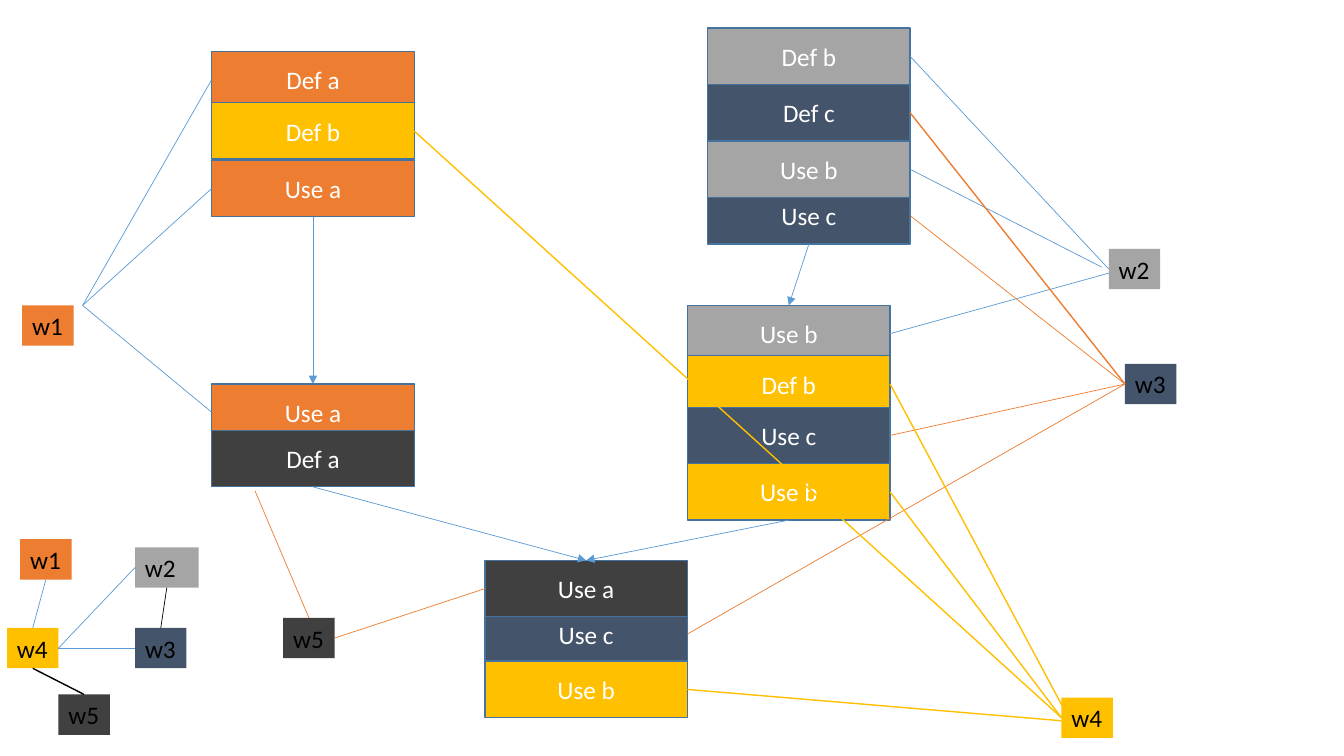
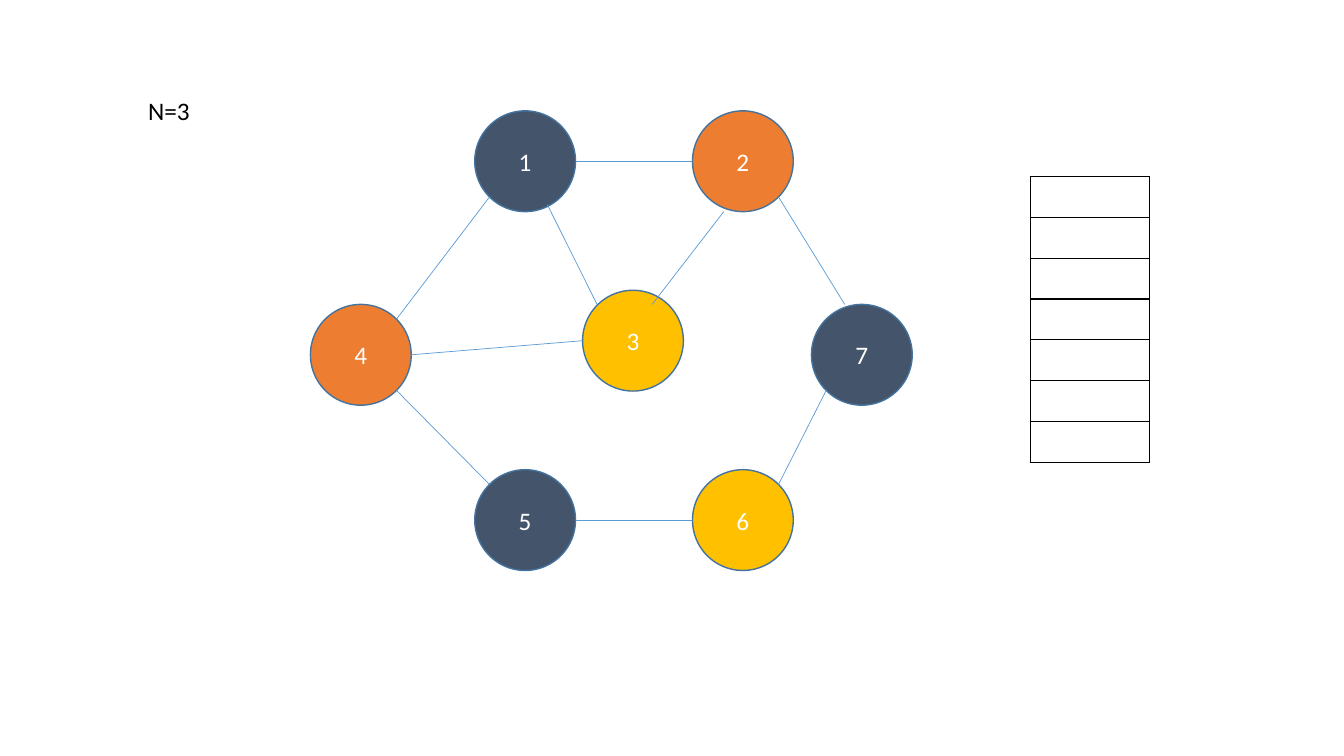
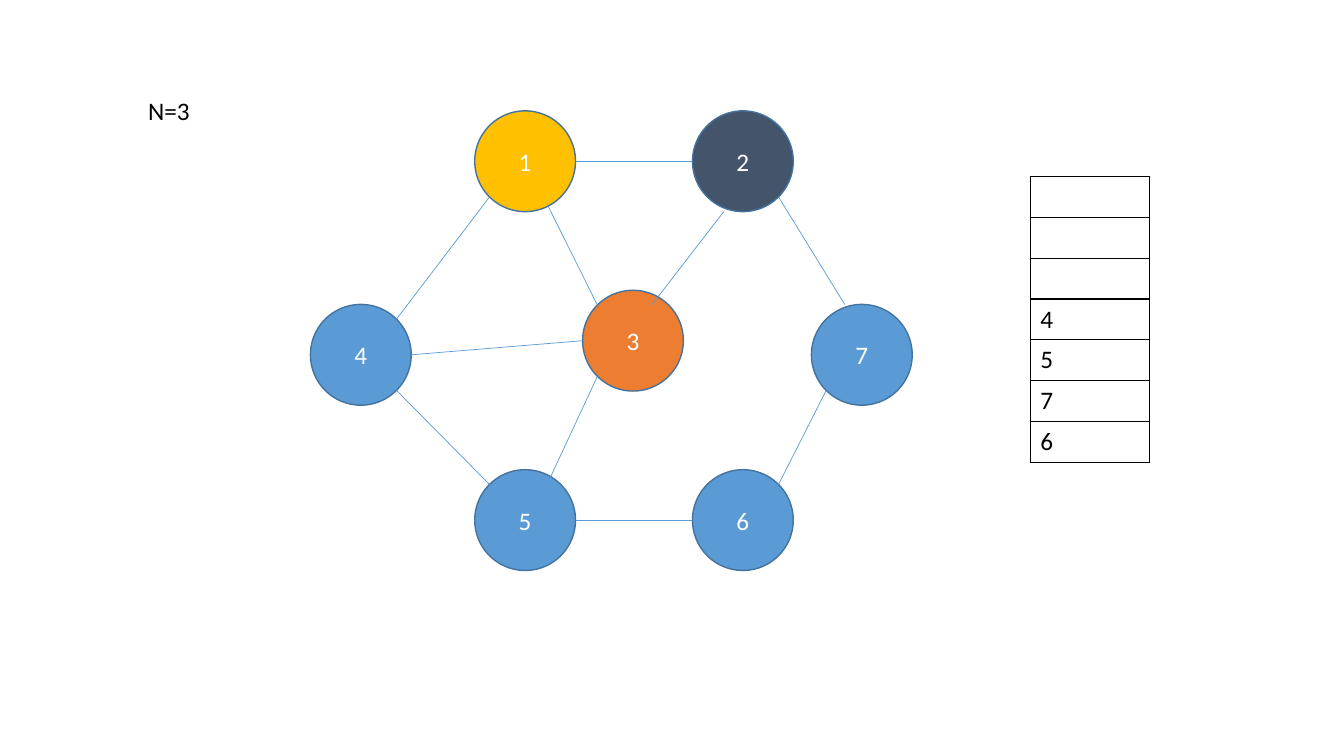
import math

from lxml import etree
from pptx import Presentation
from pptx import util as u
from pptx.dml.color import RGBColor
from pptx.enum import shapes, text
from pptx.oxml.ns import qn

CELL = u.Inches(0.1)
ORANGE, GOLD, GRAY, SLATE, DARK = "ED7D31", "FFC000", "A5A5A5", "44546A", "404040"
BLUE, OUTLINE, BLACK, WHITE = "5B9BD5", "43739E", "000000", "FFFFFF"
TOP, LEFT, BOTTOM, RIGHT = range(4)
FONT = {"name": "Calibri", "size": u.Pt(18)}
CENTERED = {"vertical_anchor": text.MSO_ANCHOR.MIDDLE, "word_wrap": True}
FITTED = {"vertical_anchor": text.MSO_ANCHOR.TOP, "word_wrap": False,
          "auto_size": text.MSO_AUTO_SIZE.SHAPE_TO_FIT_TEXT}


def rgb(value):
    return RGBColor.from_string(value)


def cells(*counts):
    return [round(count * CELL) for count in counts]


def apply(target, values):
    for key, value in values.items():
        setattr(target, key, value)


class Deck:
    """Draws flow and graph elements on a grid of tenth-inch cells."""

    def __init__(self):
        self.file = Presentation()
        width, height = cells(133.33, 75)
        apply(self.file, {"slide_width": width, "slide_height": height})

    def page(self):
        self.slide = self.file.slides.add_slide(self.file.slide_layouts[6])

    def caption(self, frame, words, color, align=text.PP_ALIGN.LEFT):
        paragraph = frame.paragraphs[0]
        paragraph.alignment = align
        run = paragraph.add_run()
        run.text = words
        apply(run.font, FONT)
        run.font.color.rgb = rgb(color)

    def filled(self, kind, area, fill):
        item = self.slide.shapes.add_shape(kind, *cells(*area))
        item.shadow.inherit = False
        item.fill.solid()
        item.fill.fore_color.rgb = rgb(fill)
        return item

    def block(self, area, words, fill, kind=shapes.MSO_SHAPE.RECTANGLE):
        item = self.filled(kind, area, fill)
        item.line.color.rgb = rgb(OUTLINE)
        item.line.width = u.Pt(1)
        apply(item.text_frame, CENTERED)
        self.caption(item.text_frame, words, WHITE, text.PP_ALIGN.CENTER)
        return item

    def stack(self, column, steps):
        return [self.block((column, row, 20.1, 5.6), words, fill)
                for row, words, fill in steps]

    def tag(self, column, row, words, fill, width=5.1):
        item = self.filled(shapes.MSO_SHAPE.RECTANGLE, (column, row, width, 4), fill)
        item.line.fill.background()
        apply(item.text_frame, {**FITTED, "word_wrap": width > 5.1})
        self.caption(item.text_frame, words, BLACK)
        return item

    def label(self, column, row, words):
        item = self.slide.shapes.add_textbox(*cells(column, row, 6.2, 4))
        apply(item.text_frame, FITTED)
        self.caption(item.text_frame, words, BLACK)

    def link(self, start, end, color=BLUE, width=0.5, arrow=False):
        free = [(0, 0) if hasattr(first, "fill") else (first, second)
                for first, second in (start, end)]
        line = self.slide.shapes.add_connector(
            shapes.MSO_CONNECTOR.STRAIGHT, *cells(*free[0], *free[1]))
        for place, attach in ((start, line.begin_connect), (end, line.end_connect)):
            if hasattr(place[0], "fill"):
                attach(*place)
        line.line.color.rgb = rgb(color)
        line.line.width = u.Pt(width)
        properties = line.element.spPr
        if arrow:
            etree.SubElement(properties.find(qn("a:ln")), qn("a:tailEnd"), type="triangle")
        etree.SubElement(properties, qn("a:effectLst"))

    def register(self, values):
        frame = self.slide.shapes.add_table(len(values), 1, *cells(102.2, 17.5, 11.8, 28.4))
        table = frame.table
        apply(table, {"first_row": False, "horz_banding": False})
        for index, value in enumerate(values):
            cell = table.cell(index, 0)
            cell.fill.background()
            if value:
                self.caption(cell.text_frame, value, BLACK)
            properties = cell._tc.get_or_add_tcPr()
            for order, side in enumerate(("lnL", "lnR", "lnT", "lnB")):
                border = etree.Element(qn("a:" + side), w=str(u.Pt(1)))
                solid = etree.SubElement(border, qn("a:solidFill"))
                etree.SubElement(solid, qn("a:srgbClr"), val=BLACK)
                properties.insert(order, border)


CENTERS = {"1": (52.1, 16), "2": (73.7, 16), "3": (62.8, 33.8), "4": (35.8, 35.2),
           "5": (52.1, 51.6), "6": (73.7, 51.6), "7": (85.5, 35.2)}
E, SE, SW, W, NW, NE = 0, 45, 135, 180, 225, 315


def rim(node, angle):
    x, y = CENTERS[node]
    turn = math.radians(angle)
    return x + 5 * math.cos(turn), y + 5 * math.sin(turn)


EDGES = [
    (rim("1", SW), rim("4", NE)),
    (rim("1", E), rim("2", W)),
    (rim("2", SE), (83.8, 30.2)),
    (rim("4", SE), rim("5", NW)),
    (rim("5", E), rim("6", W)),
    (rim("6", NE), rim("7", SW)),
    ((54.3, 20.3), rim("3", NW)),
    ((71.8, 21), (64.7, 30.2)),
    (rim("3", W), rim("4", E)),
]


def flow_page(deck):
    deck.page()
    entry_def_a, entry_def_b, entry_use_a = deck.stack(21, [
        (5.1, "Def a", ORANGE), (10.2, "Def b", GOLD), (15.9, "Use a", ORANGE)])
    left_use_a, left_def_a = deck.stack(21, [
        (38.1, "Use a", ORANGE), (42.7, "Def a", DARK)])
    top_use_c, top_use_b, top_def_c, top_def_b = deck.stack(70.2, [
        (18.6, "Use c", SLATE), (14, "Use b", GRAY),
        (8.4, "Def c", SLATE), (2.8, "Def b", GRAY)])
    right_use_b, right_last_b, right_def_b, right_use_c = deck.stack(68.2, [
        (30.3, "Use b", GRAY), (46, "Use b", GOLD),
        (35.3, "Def b", GOLD), (40.4, "Use c", SLATE)])
    merge_use_c, merge_use_a, merge_use_b = deck.stack(48.1, [
        (60.1, "Use c", SLATE), (55.6, "Use a", DARK), (65.6, "Use b", GOLD)])

    deck.tag(2.2, 30.3, "w1", ORANGE)
    w2 = deck.tag(110, 24.7, "w2", GRAY)
    w3 = deck.tag(111.6, 36.1, "w3", SLATE)
    w4 = deck.tag(105.3, 69.2, "w4", GOLD)
    w5 = deck.tag(28.1, 61.3, "w5", DARK)

    for block in (entry_def_a, entry_use_a, left_use_a):
        deck.link((block, LEFT), (8.2, 30.3))
    for source, target in ((entry_use_a, left_use_a), (top_use_c, right_use_b),
                           (left_def_a, merge_use_a), (right_last_b, merge_use_a)):
        deck.link((source, BOTTOM), (target, TOP), arrow=True)
    for block, end in ((top_def_b, (w2, LEFT)), (top_use_b, (109.3, 26.5)),
                       (right_use_b, (110, 27.1))):
        deck.link((block, RIGHT), end)
    for block, width in ((top_def_c, 1), (top_use_c, 0.5),
                         (right_use_c, 0.5), (merge_use_c, 0.5)):
        deck.link((block, RIGHT), (w3, LEFT), ORANGE, width)
    for block, end in ((entry_def_b, (w4, LEFT)), (right_def_b, (106, 71.2)),
                       (right_last_b, (w4, LEFT)), (merge_use_b, (105.3, 71.5))):
        deck.link((block, RIGHT), end, GOLD, 1)
    deck.link((25.3, 48.7), (w5, TOP), ORANGE)
    deck.link((merge_use_a, LEFT), (w5, RIGHT), ORANGE)

    web1 = deck.tag(2, 53.5, "w1", ORANGE)
    web2 = deck.tag(13.4, 54.3, "w2", GRAY, 6.3)
    web3 = deck.tag(13.4, 62.3, "w3", SLATE)
    web4 = deck.tag(0.7, 62.3, "w4", GOLD)
    web5 = deck.tag(5.8, 68.9, "w5", DARK)
    deck.link((web2, BOTTOM), (web3, TOP), BLACK)
    deck.link((web1, BOTTOM), (web4, TOP))
    for web in (web2, web3):
        deck.link((web, LEFT), (web4, RIGHT))
    deck.link((web5, TOP), (web4, BOTTOM), BLACK, 1)


def graph_page(deck, fills, register, extra=()):
    deck.page()
    for (node, (x, y)), fill in zip(CENTERS.items(), fills):
        deck.block((x - 5, y - 5, 10, 10), node, fill, shapes.MSO_SHAPE.OVAL)
    for start, end in [*EDGES, *extra]:
        deck.link(start, end)
    deck.register(register)
    deck.label(13.7, 9, "N=3")


def main():
    deck = Deck()
    flow_page(deck)
    graph_page(deck, [SLATE, ORANGE, GOLD, ORANGE, SLATE, GOLD, SLATE], [""] * 7)
    graph_page(deck, [GOLD, SLATE, ORANGE] + [BLUE] * 4,
               [""] * 3 + ["4", "5", "7", "6"], [(rim("3", SW), (54.3, 48))])
    deck.file.save("out.pptx")


if __name__ == "__main__":
    main()
